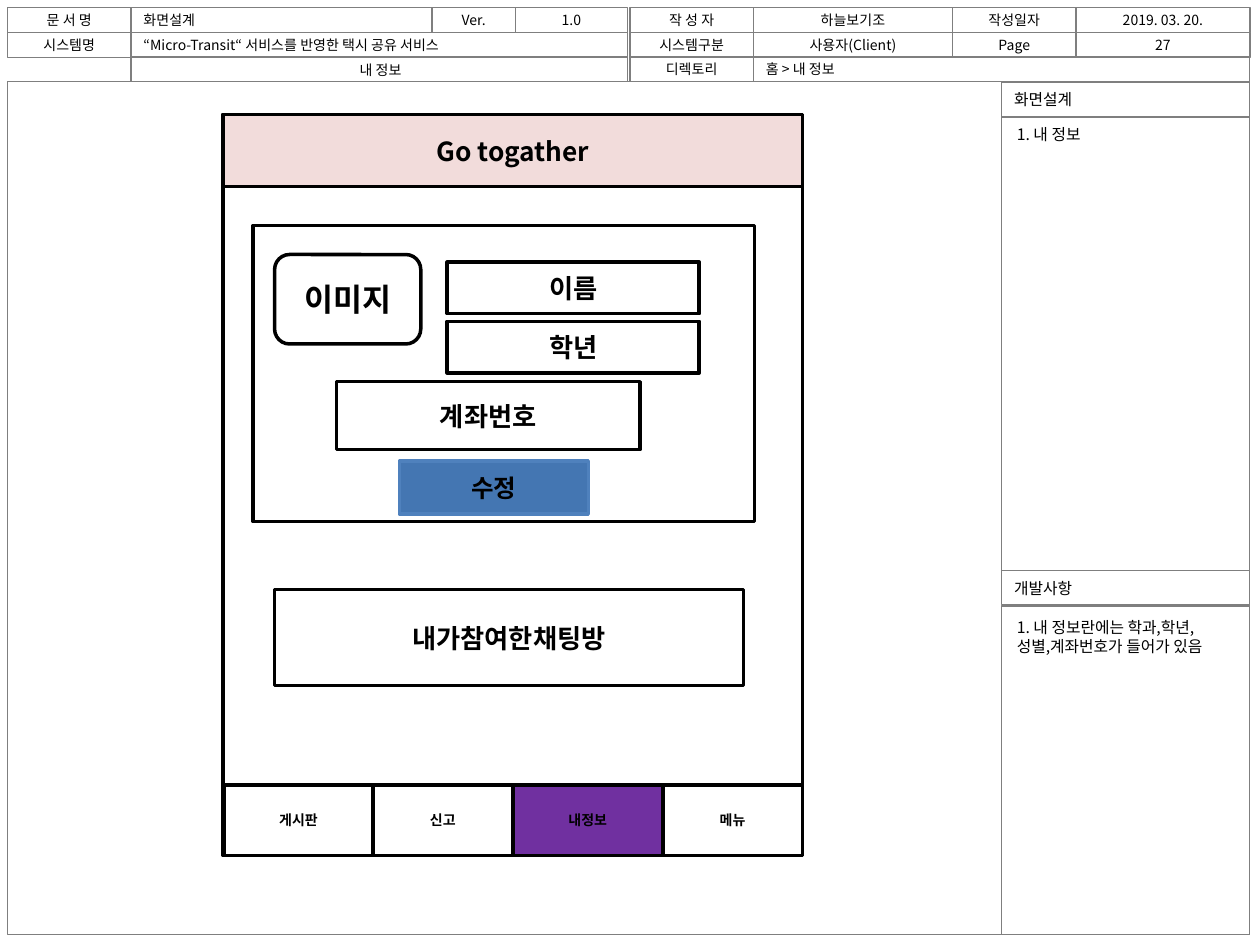
from dataclasses import dataclass
from typing import Optional

from lxml import etree
from pptx import Presentation
from pptx.dml.color import RGBColor
from pptx.enum import shapes, text
from pptx.oxml.ns import qn
from pptx.util import Inches, Pt

FONT = "Noto Sans CJK KR"
COLORS = {
    "text": "000000",
    "grid": "7F7F7F",
    "outline": "000000",
    "paper": "FFFFFF",
    "banner": "F2DCDB",
    "active_tab": "7030A0",
    "button": "4476B2",
    "button_edge": "4F81BD",
}
LEFT, CENTER = text.PP_ALIGN.LEFT, text.PP_ALIGN.CENTER


@dataclass
class Box:
    left: float
    top: float
    width: float
    height: float
    label: str = ""
    size: float = 15
    fill: Optional[str] = "paper"
    line: str = "outline"
    line_width: float = 2
    bold: bool = True
    align: text.PP_ALIGN = CENTER
    rounded: bool = False


def color(name: str) -> RGBColor:
    return RGBColor.from_string(COLORS[name])


def format_paragraph(paragraph, size: float, bold: bool, align: text.PP_ALIGN) -> None:
    paragraph.alignment = align
    font = paragraph.font
    font.size, font.bold = Pt(size), bold
    font.color.rgb = color("text")
    font.name = FONT
    defaults = paragraph._p.pPr.find(qn("a:defRPr"))
    etree.SubElement(defaults, qn("a:ea")).set("typeface", FONT)


def draw_box(slide, box: Box) -> None:
    kind = shapes.MSO_SHAPE.ROUNDED_RECTANGLE if box.rounded else shapes.MSO_SHAPE.RECTANGLE
    shape = slide.shapes.add_shape(
        kind, Inches(box.left), Inches(box.top), Inches(box.width), Inches(box.height))
    shape.shadow.inherit = False
    if box.fill:
        shape.fill.solid()
        shape.fill.fore_color.rgb = color(box.fill)
    else:
        shape.fill.background()
    shape.line.color.rgb = color(box.line)
    shape.line.width = Pt(box.line_width)
    if box.label:
        frame = shape.text_frame
        frame.vertical_anchor = text.MSO_ANCHOR.MIDDLE
        frame.text = box.label
        format_paragraph(frame.paragraphs[0], box.size, box.bold, box.align)


def grid_cell(left: float, top: float, right: float, height: float,
              label: str = "", align: text.PP_ALIGN = CENTER, size: float = 8) -> Box:
    return Box(left, top, right - left, height, label, size, None, "grid", 0.75, False, align)


def fill_placeholder(holder, area: tuple[float, ...], lines: list[str], size: float,
                     align: text.PP_ALIGN = LEFT) -> None:
    holder.left, holder.top, holder.width, holder.height = map(Inches, area)
    frame = holder.text_frame
    frame.word_wrap = True
    frame.auto_size = text.MSO_AUTO_SIZE.NONE
    frame.vertical_anchor = text.MSO_ANCHOR.TOP
    frame.text = "\n".join(lines)
    for paragraph in frame.paragraphs:
        paragraph.space_before = Pt(0)
        properties = paragraph._p.get_or_add_pPr()
        properties.set("marL", "0")
        properties.set("indent", "0")
        etree.SubElement(properties, qn("a:buNone"))
        format_paragraph(paragraph, size, False, align)


ROW_TOPS = (0.06, 0.26, 0.45)
ROW_HEIGHT = 0.2
# For each header row: left edge, right edge, label, alignment
HEADER_ROWS = (
    ((0.06, 1.04, "문 서 명", CENTER), (1.04, 3.43, "화면설계", LEFT),
     (3.43, 4.09, "Ver.", CENTER), (4.09, 4.98, "1.0", CENTER),
     (5, 5.98, "작 성 자", CENTER), (5.98, 7.56, "하늘보기조", CENTER),
     (7.56, 8.54, "작성일자", CENTER), (8.54, 9.92, "2019. 03. 20.", CENTER)),
    ((0.06, 1.04, "시스템명", CENTER),
     (1.04, 4.98, "“Micro-Transit“ 서비스를 반영한 택시 공유 서비스", LEFT),
     (5, 5.98, "시스템구분", CENTER), (5.98, 7.56, "사용자(Client)", CENTER),
     (7.56, 8.54, "Page", CENTER), (8.54, 9.92, "27", CENTER)),
    ((1.04, 4.98, "", CENTER), (5, 5.98, "디렉토리", CENTER),
     (5.98, 9.92, "홈 > 내 정보", LEFT)),
)
PANELS = (
    grid_cell(0.06, 0.65, 9.92, 6.77),
    grid_cell(7.95, 0.65, 9.92, 0.28, "화면설계", LEFT, 9),
    grid_cell(7.95, 0.93, 9.92, 3.6),
    grid_cell(7.95, 4.53, 9.92, 0.27, "개발사항", LEFT, 9),
    grid_cell(7.95, 4.81, 9.92, 2.61),
)
APP_SCREEN = (
    Box(1.77, 0.91, 4.6, 5.88),
    Box(1.77, 0.91, 4.6, 0.57, "Go togather", fill="banner"),
    Box(2.01, 1.79, 3.98, 2.35),
    Box(2.18, 4.68, 3.72, 0.76, "내가참여한채팅방"),
    Box(2.18, 2.02, 1.16, 0.71, "이미지", 18, rounded=True),
    Box(3.55, 2.08, 2, 0.41, "이름"),
    Box(3.55, 2.55, 2, 0.41, "학년"),
    Box(2.67, 3.03, 2.41, 0.54, "계좌번호"),
    Box(3.17, 3.66, 1.5, 0.42, "수정", 14, "button", "button_edge"),
)
TAB_EDGES = (1.78, 2.96, 4.07, 5.26, 6.37)
TABS = ("게시판", "신고", "내정보", "메뉴")
ACTIVE_TAB = "내정보"


def main() -> None:
    deck = Presentation()
    deck.slide_width, deck.slide_height = Inches(10), Inches(7.5)
    slide = deck.slides.add_slide(deck.slide_layouts[3])
    title, screen_notes, development_notes = slide.placeholders
    fill_placeholder(title, (1.05, 0.44, 3.94, 0.24), ["내 정보"], 8, CENTER)
    fill_placeholder(screen_notes, (7.97, 0.94, 2.03, 0.25), ["1. 내 정보"], 9)
    fill_placeholder(development_notes, (7.97, 4.85, 1.95, 0.4),
                     ["1. 내 정보란에는 학과,학년,", "성별,계좌번호가 들어가 있음"], 9)

    for top, cells in zip(ROW_TOPS, HEADER_ROWS):
        for left, right, label, align in cells:
            draw_box(slide, grid_cell(left, top, right, ROW_HEIGHT, label, align))
    for box in PANELS + APP_SCREEN:
        draw_box(slide, box)
    for left, right, label in zip(TAB_EDGES, TAB_EDGES[1:], TABS):
        fill = "active_tab" if label == ACTIVE_TAB else None
        draw_box(slide, Box(left, 6.23, right - left, 0.56, label, 8, fill))

    deck.save("out.pptx")


if __name__ == "__main__":
    main()
